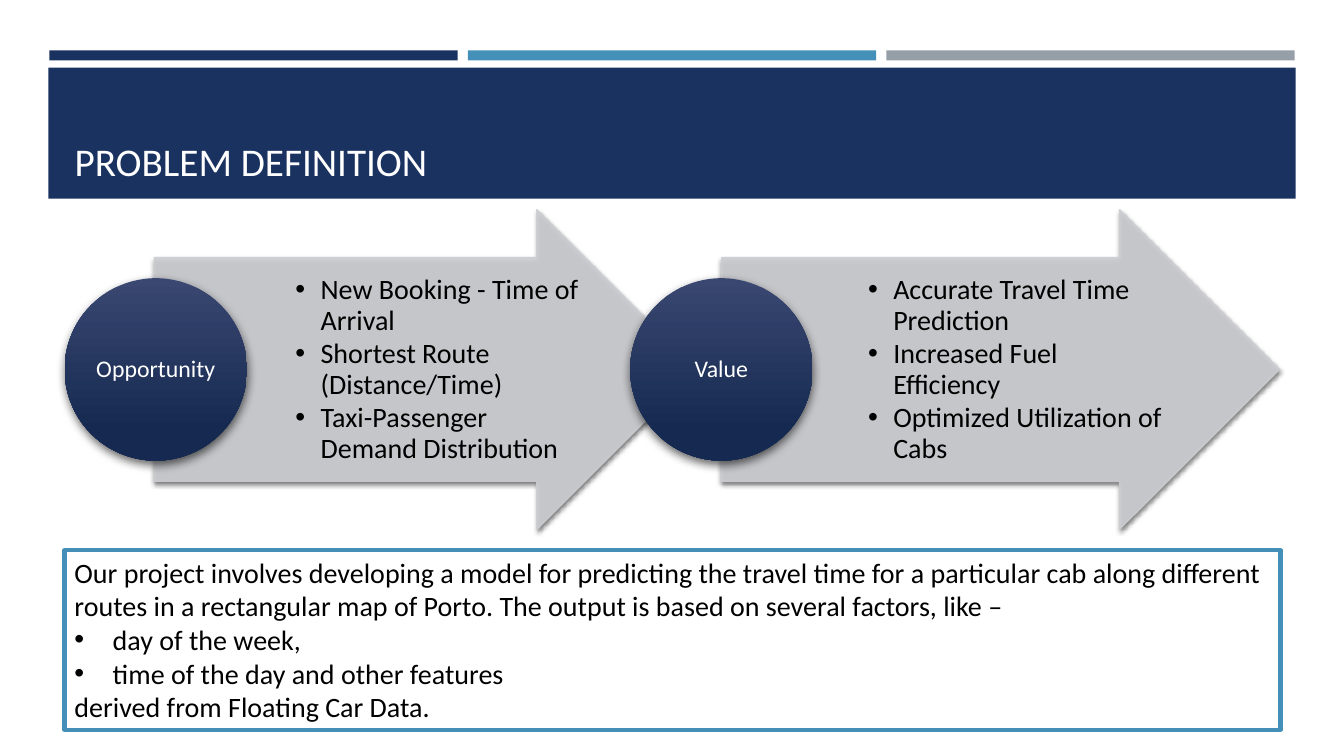
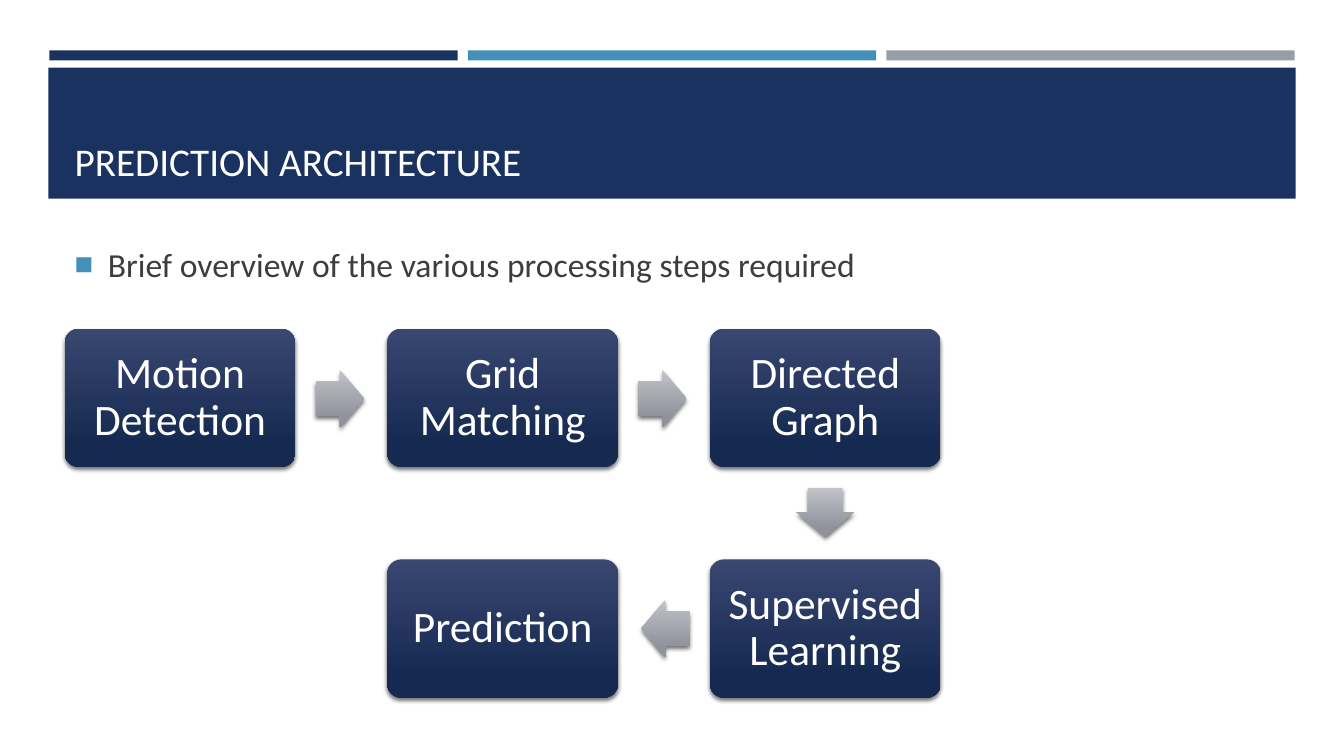
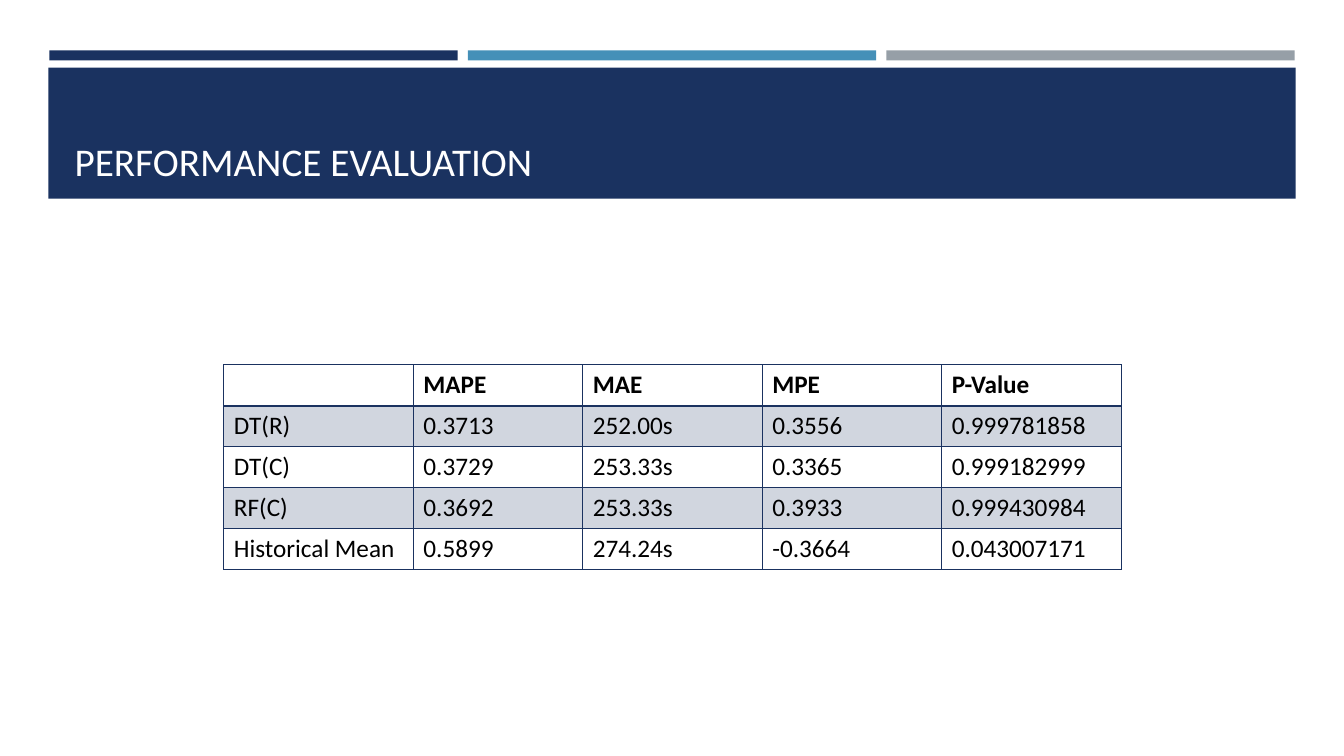
from lxml import etree
from pptx import Presentation
from pptx import util as u
from pptx.dml import color as dml
from pptx.enum import shapes, text
from pptx.oxml import ns

FONT = "Calibri"
NAVY, BLUE, GREY = "1A3260", "4590B8", "969FA7"
WHITE, BLACK, DARK = "FFFFFF", "000000", "3D3D3D"
PALE, STRIPE = "CDCED2", "D1D6DF"
NAVY_GRADIENT = ("394771", "162A51")
GREY_GRADIENT = ("C1C3C9", "8F919B")
FLAT_SHADOW = (55, 3, 2, 90)
ROUND_SHADOW = (60, 7, 3, 84)
BULLETS = {"•": (BLACK, 100), "■": (BLUE, 92)}
LEFT, CENTER = text.PP_ALIGN.LEFT, text.PP_ALIGN.CENTER
TOP, MIDDLE, BOTTOM = text.MSO_ANCHOR.TOP, text.MSO_ANCHOR.MIDDLE, text.MSO_ANCHOR.BOTTOM
KIND = shapes.MSO_SHAPE
rgb = dml.RGBColor.from_string


def paint(shape, *colours, shadow=None):
    """Fill with one colour or a downward gradient; shadow is alpha, blur, distance, angle."""
    if len(colours) == 1:
        shape.fill.solid()
        shape.fill.fore_color.rgb = rgb(colours[0])
    else:
        shape.fill.gradient()
        shape.fill.gradient_angle = 270
        for stop, colour, position in zip(shape.fill.gradient_stops, colours, (0, 0.84)):
            stop.color.rgb = rgb(colour)
            stop.position = position
    shape.line.fill.background()
    shape.shadow.inherit = False
    if shadow:
        alpha, blur, distance, angle = shadow
        effects = shape.element.spPr.find(ns.qn("a:effectLst"))
        outer = etree.SubElement(effects, ns.qn("a:outerShdw"), blurRad=str(u.Pt(blur)),
                                 dist=str(u.Pt(distance)), dir=str(angle * 60000), rotWithShape="0")
        tint = etree.SubElement(outer, ns.qn("a:srgbClr"), val=BLACK)
        etree.SubElement(tint, ns.qn("a:alpha"), val=str(alpha * 1000))


def write(frame, lines, size, colour, align=LEFT, anchor=MIDDLE, indent=0, spacing=None, after=0):
    """Fill a frame with paragraphs; a line that starts with a bullet sign becomes a list item."""
    frame.text = "\n".join(lines)
    frame.word_wrap = True
    frame.auto_size = text.MSO_AUTO_SIZE.NONE
    frame.vertical_anchor = anchor
    for paragraph in frame.paragraphs:
        sign = paragraph.text[:1]
        if sign in BULLETS:
            paragraph.text = paragraph.text[2:]
            bullet_colour, percent = BULLETS[sign]
            properties = paragraph._p.get_or_add_pPr()
            properties.set("marL", str(u.Inches(indent)))
            properties.set("indent", str(-u.Inches(indent)))
            holder = etree.SubElement(properties, ns.qn("a:buClr"))
            etree.SubElement(holder, ns.qn("a:srgbClr"), val=bullet_colour)
            etree.SubElement(properties, ns.qn("a:buSzPct"), val=str(percent * 1000))
            etree.SubElement(properties, ns.qn("a:buFont"), typeface="Arial")
            etree.SubElement(properties, ns.qn("a:buChar"), char=sign)
        paragraph.alignment = align
        paragraph.line_spacing = spacing
        paragraph.space_after = u.Pt(after)
        for run in paragraph.runs:
            run.font.name = FONT
            run.font.size = u.Pt(size)
            run.font.color.rgb = rgb(colour)


presentation = Presentation()
presentation.slide_width, presentation.slide_height = u.Inches(13.33), u.Inches(7.5)

# Slides and titles
slides = []
for title, layout in (("PROBLEM DEFINITION", 5), ("PREDICTION ARCHITECTURE", 1),
                      ("PERFORMANCE EVALUATION", 5)):
    slide = presentation.slides.add_slide(presentation.slide_layouts[layout])
    heading = slide.shapes.title
    heading.left, heading.top = u.Inches(0.64), u.Inches(0.77)
    heading.width, heading.height = u.Inches(12.06), u.Inches(1.11)
    write(heading.text_frame, [title], 28, WHITE, anchor=BOTTOM)
    slides.append(slide)
problem, architecture, evaluation = slides

# Bands, moved to the master so that every slide shows them
bands = [(0.49 + 4.15 * i, 0.5, 4.05, 0.1, colour) for i, colour in enumerate((NAVY, BLUE, GREY))]
bands.append((0.48, 0.67, 12.37, 1.3, NAVY))
for position, (*box, colour) in enumerate(bands, start=2):
    band = problem.shapes.add_shape(KIND.RECTANGLE, *map(u.Inches, box))
    paint(band, colour)
    presentation.slide_master.shapes.element.insert(position, band.element)

# Problem definition
topics = [
    ("Opportunity", 0.64, 1.53, 5.38, 2.87, 2.92,
     ["• New Booking - Time of Arrival", "• Shortest Route (Distance/Time)",
      "• Taxi-Passenger Demand Distribution"]),
    ("Value", 6.25, 7.16, 5.53, 8.55, 3.04,
     ["• Accurate Travel Time Prediction", "• Increased Fuel Efficiency",
      "• Optimized Utilization of Cabs"]),
]
for name, circle_left, arrow_left, arrow_width, list_left, list_width, items in topics:
    arrow = problem.shapes.add_shape(KIND.RIGHT_ARROW, u.Inches(arrow_left), u.Inches(2.08),
                                     u.Inches(arrow_width), u.Inches(3.17))
    arrow.adjustments[0], arrow.adjustments[1] = 0.7, 0.5
    paint(arrow, PALE, shadow=FLAT_SHADOW)
    arrow.line.color.rgb = rgb(PALE)
    arrow.line.width = u.Pt(1)
    for solid in arrow.element.spPr.iter(ns.qn("a:solidFill")):
        etree.SubElement(solid[0], ns.qn("a:alpha"), val="90000")

    points = problem.shapes.add_textbox(u.Inches(list_left), u.Inches(2.56),
                                        u.Inches(list_width), u.Inches(2.22)).text_frame
    points.margin_left, points.margin_right = u.Inches(0.06), u.Inches(0.03)
    points.margin_top = points.margin_bottom = u.Inches(0.01)
    write(points, items, 20, BLACK, indent=0.25, spacing=0.9, after=2.5)

    circle = problem.shapes.add_shape(KIND.OVAL, u.Inches(circle_left), u.Inches(2.76),
                                      u.Inches(1.81), u.Inches(1.81))
    paint(circle, *NAVY_GRADIENT, shadow=ROUND_SHADOW)
    label = circle.text_frame
    label.margin_left = label.margin_right = label.margin_top = label.margin_bottom = u.Inches(0.01)
    write(label, [name], 17, WHITE, align=CENTER, spacing=0.9)

summary = problem.shapes.add_shape(KIND.RECTANGLE, u.Inches(0.64), u.Inches(5.46),
                                   u.Inches(12.06), u.Inches(1.78))
paint(summary, WHITE)
summary.line.color.rgb = rgb(BLUE)
summary.line.width = u.Pt(3)
write(summary.text_frame, [
    "Our project involves developing a model for predicting the travel time for a particular cab "
    "along different routes in a rectangular map of Porto. The output is based on several factors, "
    "like –",
    "• day of the week,",
    "• time of the day and other features",
    "derived from Floating Car Data.",
], 20, BLACK, anchor=TOP, indent=0.38)

# Prediction architecture
overview = architecture.placeholders[1]
overview.left, overview.top = u.Inches(0.64), u.Inches(2.38)
overview.width, overview.height = u.Inches(12.06), u.Inches(0.48)
write(overview.text_frame, ["■ Brief overview of the various processing steps required"],
      24, DARK, indent=0.33, after=6)
overview.text_frame.paragraphs[0].space_before = u.Pt(4.8)

steps = [("Motion Detection", 0, 0), ("Grid Matching", 1, 0), ("Directed Graph", 2, 0),
         ("Supervised Learning", 2, 1), ("Prediction", 1, 1)]
for name, column, row in steps:
    card = architecture.shapes.add_shape(
        KIND.ROUNDED_RECTANGLE, u.Inches(0.64 + 3.2 * column), u.Inches(3.26 + 2.29 * row),
        u.Inches(2.29), u.Inches(1.37))
    card.adjustments[0] = 0.1
    paint(card, *NAVY_GRADIENT, shadow=FLAT_SHADOW)
    label = card.text_frame
    label.margin_left = label.margin_right = label.margin_top = label.margin_bottom = u.Inches(0.13)
    write(label, [name], 31, WHITE, align=CENTER, spacing=0.9)

flow_arrows = [(KIND.RIGHT_ARROW, 3.13, 3.67, 0.48, 0.57), (KIND.RIGHT_ARROW, 6.33, 3.67, 0.48, 0.57),
               (KIND.DOWN_ARROW, 7.9, 4.84, 0.57, 0.48), (KIND.LEFT_ARROW, 6.36, 5.95, 0.48, 0.57)]
for kind, *box in flow_arrows:
    arrow = architecture.shapes.add_shape(kind, *map(u.Inches, box))
    arrow.adjustments[0], arrow.adjustments[1] = 0.6, 0.5
    paint(arrow, *GREY_GRADIENT, shadow=FLAT_SHADOW)

# Performance evaluation
results = [
    ("", "MAPE", "MAE", "MPE", "P-Value"),
    ("DT(R)", "0.3713", "252.00s", "0.3556", "0.999781858"),
    ("DT(C)", "0.3729", "253.33s", "0.3365", "0.999182999"),
    ("RF(C)", "0.3692", "253.33s", "0.3933", "0.999430984"),
    ("Historical Mean", "0.5899", "274.24s", "-0.3664", "0.043007171"),
]
table = evaluation.shapes.add_table(len(results), len(results[0]), u.Inches(2.22), u.Inches(3.62),
                                    u.Inches(8.9), u.Inches(2.03)).table
table.first_row = table.horz_banding = False
for column, width in zip(table.columns, (1.88, 1.68, 1.78, 1.78, 1.78)):
    column.width = u.Inches(width)
for r, values in enumerate(results):
    for c, value in enumerate(values):
        cell = table.cell(r, c)
        if r % 2:
            cell.fill.solid()
            cell.fill.fore_color.rgb = rgb(STRIPE)
        else:
            cell.fill.background()
        if value:
            write(cell.text_frame, [value], 18, BLACK, anchor=TOP)
            cell.text_frame.paragraphs[0].runs[0].font.bold = r == 0
        properties = cell._tc.get_or_add_tcPr()
        for index, side in enumerate(("lnL", "lnR", "lnT", "lnB")):
            heavy = (r, side) in ((0, "lnB"), (1, "lnT"))
            border = etree.Element(ns.qn("a:" + side), w=str(u.Pt(2 if heavy else 1)))
            solid = etree.SubElement(border, ns.qn("a:solidFill"))
            etree.SubElement(solid, ns.qn("a:srgbClr"), val=NAVY)
            properties.insert(index, border)

presentation.save("out.pptx")
